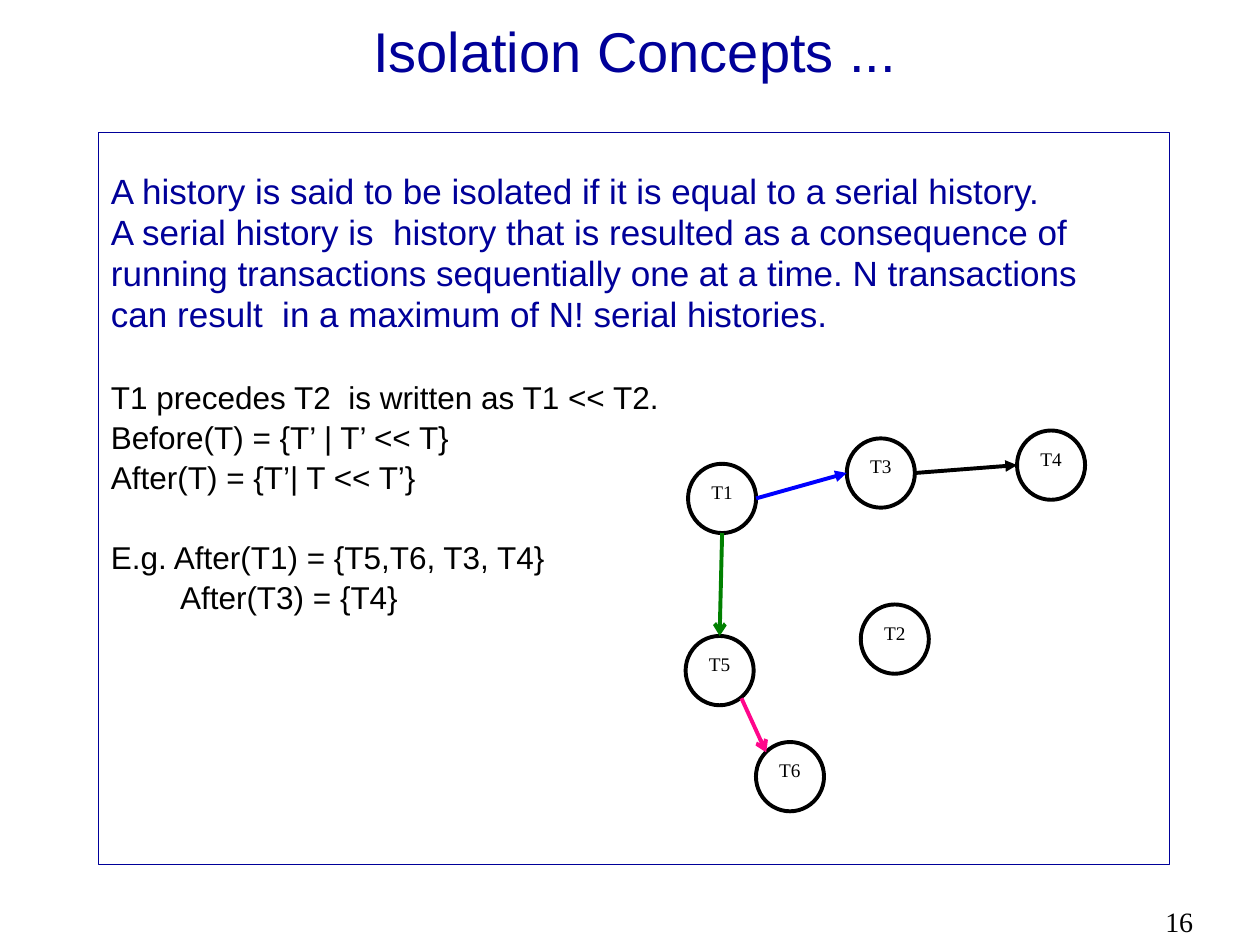
from pptx import Presentation
from pptx.dml.color import RGBColor
from pptx.enum.shapes import MSO_CONNECTOR, MSO_SHAPE
from pptx.enum.text import MSO_ANCHOR, MSO_AUTO_SIZE, PP_ALIGN
from pptx.oxml.ns import qn
from pptx.util import Pt
from lxml.etree import SubElement

NAVY, BLACK = "000099", "000000"
SANS, SERIF = "Arial", "Times New Roman"
WIDE, HIGH = 38.9, 39.6
LEAD = 18.4

LINES = [
    ("A history is said to be isolated if it is equal to a serial history.", 20, NAVY, 0, 0),
    ("A serial history is  history that is resulted as a consequence of", 20, NAVY, 5, 0),
    ("running transactions sequentially one at a time. N transactions", 20, NAVY, 5, 0),
    ("can result  in a maximum of N! serial histories.", 20, NAVY, 5, 0),
    ("T1 precedes T2  is written as T1 << T2.", 18, BLACK, 27.9, 0),
    ("Before(T) = {T’ | T’ << T}", 18, BLACK, 4.5, 0),
    ("After(T) = {T’| T << T’}", 18, BLACK, 4.5, 0),
    ("E.g. After(T1) = {T5,T6, T3, T4}", 18, BLACK, 27.4, 0),
    ("After(T3) = {T4}", 18, BLACK, 4.5, 39.5),
]
NODES = {
    "T1": (393.2, 265),
    "T3": (483.9, 250.5),
    "T4": (581.2, 246),
    "T5": (391.8, 363.4),
    "T6": (432, 424),
    "T2": (491.9, 345.4),
}
LEFT, RIGHT, TOP, BASE = (0, 0.5), (1, 0.5), (0.5, 0), (0.5, 1)
EDGES = [
    ("T1", RIGHT, "T3", LEFT, "0000FF", "triangle"),
    ("T3", RIGHT, "T4", LEFT, BLACK, "triangle"),
    ("T1", BASE, "T5", TOP, "008000", "arrow"),
    ("T5", (0.82, 0.9), "T6", (0.15, 0.15), "FF068B", "arrow"),
]


def tint(code):
    return RGBColor.from_string(code)


def place(shape, left, top, width, height):
    shape.left, shape.top = Pt(left), Pt(top)
    shape.width, shape.height = Pt(width), Pt(height)


def style(para, size, face, code):
    for run in para.runs:
        run.font.size = Pt(size)
        run.font.name = face
        run.font.color.rgb = tint(code)


def add_title(slide):
    title = slide.shapes.title
    place(title, 56.9, 13.7, 612, 49.7)
    frame = title.text_frame
    frame.text = "Isolation Concepts ..."
    frame.auto_size = MSO_AUTO_SIZE.NONE
    frame.vertical_anchor = MSO_ANCHOR.MIDDLE
    para = frame.paragraphs[0]
    para.alignment = PP_ALIGN.CENTER
    para.line_spacing = Pt(LEAD)
    style(para, 32, SANS, NAVY)


def add_body(slide):
    body = slide.placeholders[1]
    place(body, 56.2, 75.6, 612, 418.3)
    body.line.color.rgb = tint(NAVY)
    body.line.width = Pt(0.75)
    frame = body.text_frame
    frame.auto_size = MSO_AUTO_SIZE.NONE
    frame.vertical_anchor = MSO_ANCHOR.TOP
    frame.margin_top = Pt(27)
    for index, (text, size, code, gap, inset) in enumerate(LINES):
        para = frame.add_paragraph() if index else frame.paragraphs[0]
        para.text = text
        props = para._p.get_or_add_pPr()
        props.set("marL", str(Pt(inset)))
        props.set("indent", "0")
        SubElement(props, qn("a:buNone"))
        para.line_spacing = Pt(LEAD)
        para.space_before = Pt(gap)
        style(para, size, SANS, code)


def add_node(slide, name, left, top):
    node = slide.shapes.add_shape(
        MSO_SHAPE.OVAL, Pt(left), Pt(top), Pt(WIDE), Pt(HIGH))
    node.shadow.inherit = False
    node.fill.background()
    node.line.color.rgb = tint(BLACK)
    node.line.width = Pt(2.25)
    frame = node.text_frame
    frame.text = name
    frame.word_wrap = False
    frame.vertical_anchor = MSO_ANCHOR.TOP
    frame.paragraphs[0].alignment = PP_ALIGN.CENTER
    style(frame.paragraphs[0], 11, SERIF, BLACK)


def spot(name, side):
    left, top = NODES[name]
    return Pt(left + WIDE * side[0]), Pt(top + HIGH * side[1])


def add_edge(slide, start, leave, end, reach, code, head):
    edge = slide.shapes.add_connector(
        MSO_CONNECTOR.STRAIGHT, *spot(start, leave), *spot(end, reach))
    edge.line.color.rgb = tint(code)
    edge.line.width = Pt(2.25)
    props = edge._element.spPr
    SubElement(props.find(qn("a:ln")), qn("a:tailEnd"), type=head)
    SubElement(props, qn("a:effectLst"))


def add_number(slide):
    box = slide.shapes.add_textbox(Pt(658.8), Pt(513.4), Pt(61.2), Pt(26.6))
    frame = box.text_frame
    frame.text = "16"
    frame.word_wrap = True
    style(frame.paragraphs[0], 16, SERIF, BLACK)


def main():
    deck = Presentation()
    deck.slide_width, deck.slide_height = Pt(720), Pt(540)
    slide = deck.slides.add_slide(deck.slide_layouts[1])
    add_number(slide)
    add_title(slide)
    add_body(slide)
    for name, (left, top) in NODES.items():
        add_node(slide, name, left, top)
    for edge in EDGES:
        add_edge(slide, *edge)
    deck.save("out.pptx")


if __name__ == "__main__":
    main()
